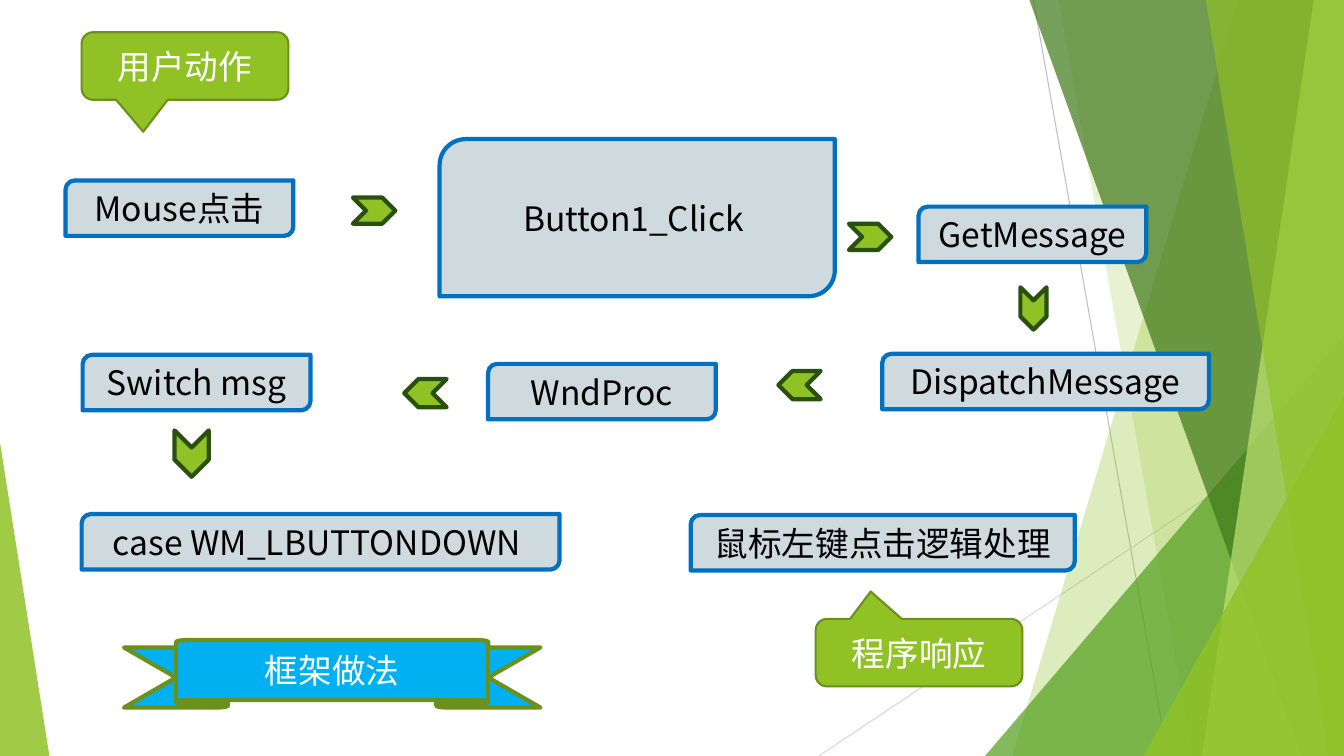
from collections import namedtuple

from lxml import etree
from pptx import Presentation
from pptx import util as u
from pptx.dml.color import RGBColor
from pptx.enum import shapes, text
from pptx.oxml import ns

COLUMNS, ROWS = 1333, 750
CELL = u.Inches(0.01)
FONT = "Noto Sans CJK SC"
STEP_HEIGHT = 55
KIND = shapes.MSO_SHAPE
COLORS = {
    "green": "90C226", "leaf": "54A021", "forest": "3F7819", "lime": "C0E474",
    "moss": "6B901C", "pine": "2A5010", "mist": "CFDADF", "blue": "0070C0",
    "sky": "00B0F0", "black": "000000", "white": "FFFFFF",
    "gray": "BFBFBF", "silver": "D9D9D9",
}
Box = namedtuple("Box", "left top width height")


def color(name):
    return RGBColor.from_string(COLORS[name])


def within(region, left, top, width, height):
    return Box(region.left + left, region.top + top, width, height)


def paint(shape, fill, opacity=100, line=None, weight=3):
    shape.shadow.inherit = False
    shape.fill.solid()
    shape.fill.fore_color.rgb = color(fill)
    if opacity < 100:
        tint = shape.fill._xPr.find(".//" + ns.qn("a:srgbClr"))
        etree.SubElement(tint, ns.qn("a:alpha"), val=str(opacity * 1000))
    if line:
        shape.line.color.rgb = color(line)
        shape.line.width = u.Pt(weight)
    else:
        shape.line.fill.background()


def add_preset(page, kind, box, adjustments=()):
    shape = page.shapes.add_shape(kind, *(CELL * side for side in box))
    for index, value in enumerate(adjustments):
        shape.adjustments[index] = value
    return shape


def write(shape, words, ink):
    frame = shape.text_frame
    frame.text = words
    frame.vertical_anchor = text.MSO_ANCHOR.MIDDLE
    para = frame.paragraphs[0]
    para.alignment = text.PP_ALIGN.CENTER
    span = para.runs[0]
    span.font.size = u.Pt(24)
    span.font.name = FONT
    span.font.color.rgb = color(ink)
    etree.SubElement(span.font._element, ns.qn("a:ea"), typeface=FONT)


def add_hairline(page, region, start, end, ink):
    ends = [CELL * (offset + origin) for point in (start, end)
            for offset, origin in zip(point, region[:2])]
    line = page.shapes.add_connector(shapes.MSO_CONNECTOR.STRAIGHT, *ends)
    line.line.color.rgb = color(ink)
    line.line.width = u.Pt(0.75)
    etree.SubElement(line._element.spPr, ns.qn("a:effectLst"))


def add_facet(page, region, top_edge, bottom_edge, fill, opacity):
    left, top, width, height = region
    builder = page.shapes.build_freeform(left + top_edge, top, scale=CELL)
    builder.add_line_segments([
        (left + width, top), (left + width, top + height),
        (left + bottom_edge, top + height)])
    paint(builder.convert_to_shape(), fill, opacity)


def add_corner(page, region, left, top, fill, opacity, apex=1):
    box = within(region, left, top, region.width - left, region.height - top)
    paint(add_preset(page, KIND.ISOSCELES_TRIANGLE, box, [apex]), fill, opacity)


def add_backdrop(page, region, left_edge):
    add_hairline(page, region, (213, 0), (346, 750), "gray")
    add_hairline(page, region, (521, 403), (0, 750), "silver")
    add_facet(page, region, 416, 192, "green", 30)
    add_facet(page, region, 238, 371, "green", 20)
    add_corner(page, region, 165, 333, "leaf", 72)
    for top_edge, bottom_edge, fill, opacity in [
            (209, 479, "forest", 70), (491, 380, "lime", 70), (384, 506, "green", 65)]:
        add_facet(page, region, top_edge, bottom_edge, fill, opacity)
    add_corner(page, region, 322, 393, "green", 80)
    add_corner(page, left_edge, 0, 0, "green", 85, apex=0)


def add_flow(page, region):
    for words, left, top, width, height in [
            ("Mouse点击", 0, 41, 226, STEP_HEIGHT),
            ("Button1_Click ", 371, 0, 392, 156),
            ("GetMessage", 846, 67, 226, STEP_HEIGHT),
            ("Switch msg", 17, 214, 226, STEP_HEIGHT),
            ("WndProc", 419, 223, 226, STEP_HEIGHT),
            ("DispatchMessage", 810, 213, 324, STEP_HEIGHT),
            ("case WM_LBUTTONDOWN ", 16, 372, 474, STEP_HEIGHT),
            ("鼠标左键点击逻辑处理", 620, 373, 381, STEP_HEIGHT)]:
        step = add_preset(page, KIND.ROUND_2_DIAG_RECTANGLE,
                          within(region, left, top, width, height))
        paint(step, "mist", line="blue")
        write(step, words, "black")
    for left, top, width, height, turn in [
            (285, 58, 42, 26, 0), (777, 84, 42, 26, 0), (939, 155, 42, 26, 90),
            (707, 230, 42, 28, 180), (336, 238, 42, 28, 180), (102, 295, 46, 34, 90)]:
        arrow = add_preset(page, KIND.CHEVRON, within(region, left, top, width, height))
        arrow.rotation = turn
        paint(arrow, "green", line="pine")


def add_callout(page, box, words, tip):
    callout = add_preset(page, KIND.ROUNDED_RECTANGULAR_CALLOUT, box, [*tip, 0.167])
    paint(callout, "green", line="moss", weight=1.5)
    write(callout, words, "white")


def add_banner(page, box, words):
    banner = add_preset(page, KIND.UP_RIBBON, box, [0.11, 0.75])
    paint(banner, "sky", line="moss")
    write(banner, words, "white")


def main():
    deck = Presentation()
    deck.slide_width, deck.slide_height = CELL * COLUMNS, CELL * ROWS
    page = deck.slides.add_slide(deck.slide_layouts[6])
    page.background.fill.solid()
    page.background.fill.fore_color.rgb = color("white")
    add_backdrop(page, Box(812, 0, COLUMNS - 812, ROWS), Box(0, 439, 49, ROWS - 439))
    add_flow(page, Box(65, 138, 1134, 428))
    add_callout(page, Box(81, 32, 205, 67), "用户动作", (-0.202, 0.974))
    add_callout(page, Box(809, 614, 205, 67), "程序响应", (-0.234, -0.906))
    add_banner(page, Box(123, 635, 413, 67), "框架做法")
    deck.save("out.pptx")


if __name__ == "__main__":
    main()
